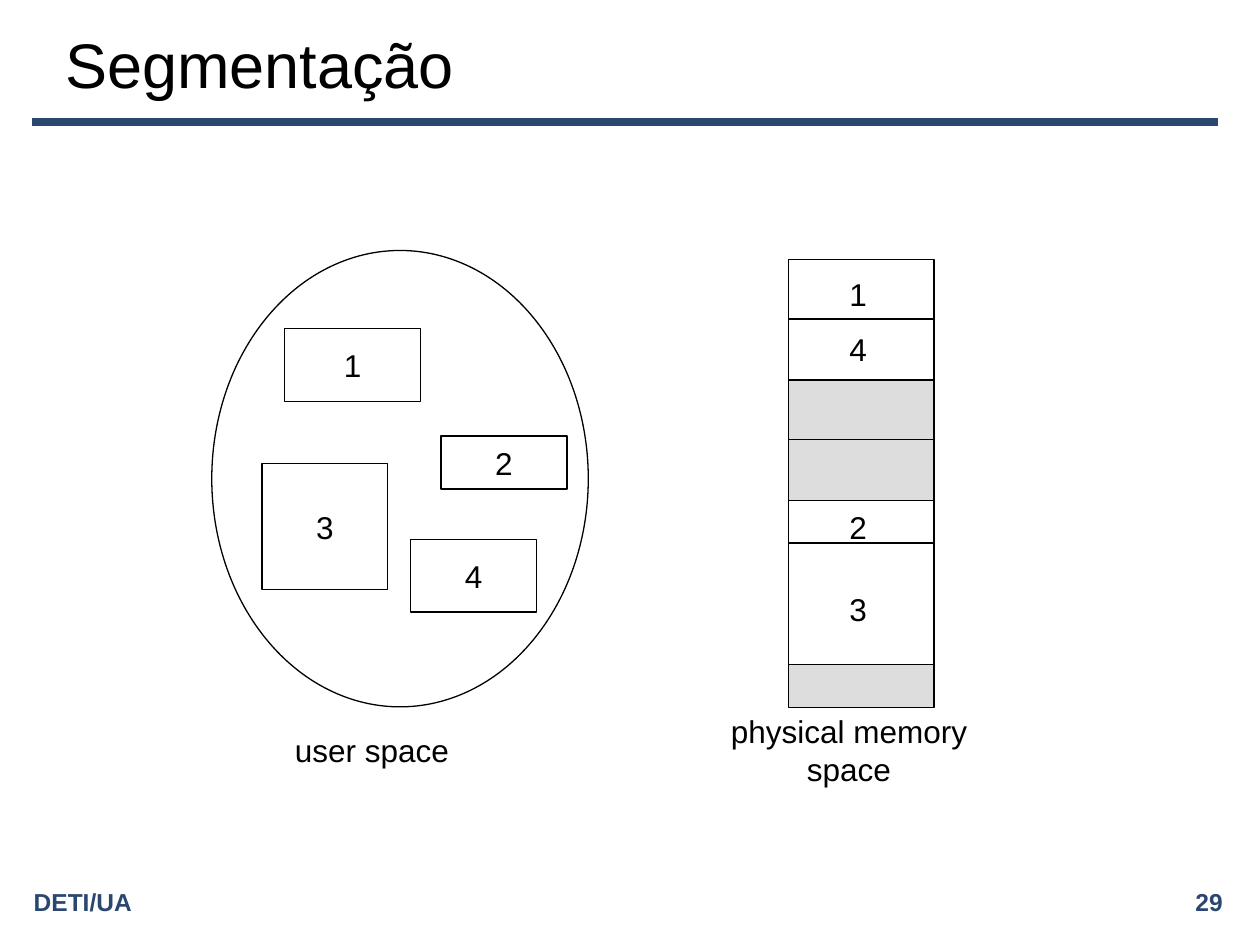
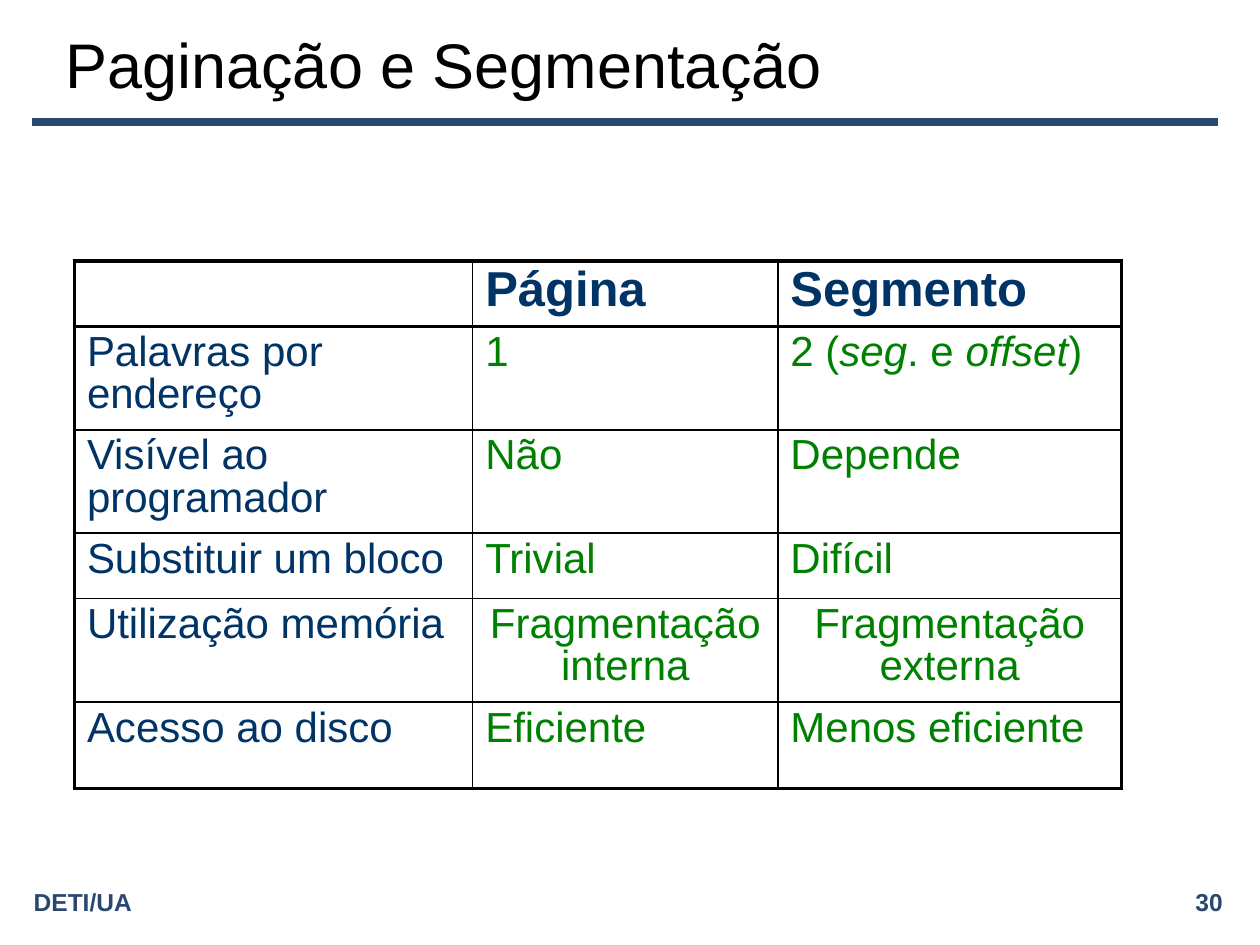
import pptx
import pptx.dml.color
import pptx.enum.shapes
import pptx.enum.text
import pptx.oxml
import pptx.oxml.ns
import pptx.util

Cm, Pt = pptx.util.Cm, pptx.util.Pt
SHAPE = pptx.enum.shapes.MSO_SHAPE
ALIGN = pptx.enum.text.PP_ALIGN

# Shared look
FONT = "Arial"
BLACK, WHITE, GREY = "000000", "FFFFFF", "DDDDDD"
BAND_BLUE, LABEL_BLUE, VALUE_GREEN = "2A476F", "003366", "008000"
FOOTER = "DETI/UA"
FIRST_NUMBER = 29
THIN, THICK = 0.96, 2.21

# Segmentation diagram, in cm
SEGMENTATION_TITLE = "Segmentação"
USER_SPACE = (4.27, 5.05, 7.59, 9.2)
SEGMENTS = [
    ("1", (5.74, 6.63, 2.74, 1.47)),
    ("3", (5.28, 9.35, 2.54, 2.54)),
    ("2", (8.89, 8.79, 2.54, 1.07)),
    ("4", (8.28, 10.87, 2.54, 1.47)),
]
MEMORY_LEFT, MEMORY_TOP, MEMORY_WIDTH = 15.9, 5.23, 2.93
# height, fill, distance from the top of the block to its divider
MEMORY_BLOCKS = [
    (2.43, WHITE, 1.2),
    (2.43, GREY, 1.2),
    (3.31, WHITE, 0.86),
    (0.86, GREY, None),
]
MEMORY_LABELS = [("1", 5.41), ("4", 6.53), ("2", 10.11), ("3", 11.76)]
CAPTIONS = [
    ("user space ", (5.61, 14.6, 3.78, 1.02), False),
    ("physical memory space", (13.56, 14.6, 7.11, 1.02), True),
]

# Comparison table; asterisks enclose italics
COMPARISON_TITLE = "Paginação e Segmentação"
COMPARISON = [
    ("", "Página", "Segmento"),
    ("Palavras por endereço", "1", "2 (*seg*. e *offset*)"),
    ("Visível ao programador", "Não", "Depende"),
    ("Substituir um bloco", "Trivial", "Difícil"),
    ("Utilização memória", "Fragmentação interna", "Fragmentação externa"),
    ("Acesso ao disco", "Eficiente", "Menos eficiente"),
]
CENTRED_ROW = 4
COLUMN_WIDTHS = [8.03, 6.15, 6.93]
ROW_HEIGHTS = [1.32, 2.08, 2.08, 1.32, 2.08, 1.75]
TABLE_LEFT, TABLE_TOP = 1.5, 5.26


def colour(code):
    return pptx.dml.color.RGBColor.from_string(code)


def lengths(place):
    return [Cm(value) for value in place]


def write(frame, text, size=18, code=BLACK, bold=False, align=ALIGN.LEFT,
          before=None, after=None, spacing=None):
    para = frame.paragraphs[0]
    para.alignment = align
    para.line_spacing = spacing
    para.space_before = None if before is None else Pt(before)
    para.space_after = None if after is None else Pt(after)
    for index, part in enumerate(text.split("*")):
        span = para.add_run()
        span.text = part
        span.font.name = FONT
        span.font.size = Pt(size)
        span.font.bold = bold
        span.font.italic = index % 2 == 1
        span.font.color.rgb = colour(code)


def add_text(page, place, text, wrap=True, **look):
    box = page.shapes.add_textbox(*lengths(place))
    box.text_frame.word_wrap = wrap
    box.text_frame.vertical_anchor = pptx.enum.text.MSO_ANCHOR.MIDDLE
    write(box.text_frame, text, **look)


def add_outline(page, kind, place, fill=WHITE, text=""):
    shape = page.shapes.add_shape(kind, *lengths(place))
    shape.shadow.inherit = False
    shape.fill.solid()
    shape.fill.fore_color.rgb = colour(fill)
    shape.line.color.rgb = colour(BLACK)
    shape.line.width = Pt(0.75)
    if text:
        shape.text_frame.word_wrap = False
        write(shape.text_frame, text, align=ALIGN.CENTER)


def add_rule(page, left, right, top, code=BLACK, width=0.75):
    rule = page.shapes.add_connector(
        pptx.enum.shapes.MSO_CONNECTOR.STRAIGHT,
        *lengths((left, top, right, top)))
    rule.line.color.rgb = colour(code)
    rule.line.width = Pt(width)
    properties = rule._element.spPr
    properties.append(pptx.oxml.parse_xml(
        f"<a:effectLst {pptx.oxml.ns.nsdecls('a')}/>"))


def add_page(deck, title):
    page = deck.slides.add_slide(deck.slide_layouts[6])
    number = FIRST_NUMBER + len(deck.slides) - 1
    footer_look = dict(size=14, code=BAND_BLUE, bold=True)
    add_rule(page, 0.64, 24.56, 2.46, BAND_BLUE, 4.5)
    add_text(page, (15.04, 17.78, 9.86, 0.79), str(number),
             align=ALIGN.RIGHT, **footer_look)
    add_text(page, (0.43, 17.78, 9.86, 0.79), FOOTER, **footer_look)
    add_text(page, (1.07, 0.43, 22.23, 1.7), title, size=36)
    return page


def set_borders(cell, widths):
    properties = cell._tc.get_or_add_tcPr()
    for index, (side, width) in enumerate(widths.items()):
        properties.insert(index, pptx.oxml.parse_xml(
            f"<a:ln{side} {pptx.oxml.ns.nsdecls('a')} w='{Pt(width)}'>"
            f"<a:solidFill><a:srgbClr val='{BLACK}'/></a:solidFill>"
            f"</a:ln{side}>"))


def draw_segmentation(deck):
    page = add_page(deck, SEGMENTATION_TITLE)
    label_look = dict(align=ALIGN.CENTER, before=9)

    # User space
    add_outline(page, SHAPE.OVAL, USER_SPACE)
    for name, place in SEGMENTS:
        add_outline(page, SHAPE.RECTANGLE, place, text=name)

    # Physical memory
    top = MEMORY_TOP
    for height, fill, divider in MEMORY_BLOCKS:
        add_outline(page, SHAPE.RECTANGLE,
                    (MEMORY_LEFT, top, MEMORY_WIDTH, height), fill)
        if divider:
            add_rule(page, MEMORY_LEFT, MEMORY_LEFT + MEMORY_WIDTH,
                     top + divider)
        top += height
    for name, label_top in MEMORY_LABELS:
        add_text(page, (16.87, label_top, 0.86, 1.02), name, wrap=False,
                 **label_look)

    for caption, place, wrap in CAPTIONS:
        add_text(page, place, caption, wrap=wrap, **label_look)


def draw_comparison(deck):
    page = add_page(deck, COMPARISON_TITLE)
    place = (TABLE_LEFT, TABLE_TOP, sum(COLUMN_WIDTHS), sum(ROW_HEIGHTS))
    table = page.shapes.add_table(
        len(COMPARISON), len(COLUMN_WIDTHS), *lengths(place)).table
    table.first_row = table.horz_banding = False
    for column, width in zip(table.columns, COLUMN_WIDTHS):
        column.width = Cm(width)
    for row, height in zip(table.rows, ROW_HEIGHTS):
        row.height = Cm(height)

    last_row, last_column = len(COMPARISON) - 1, len(COLUMN_WIDTHS) - 1
    for r, texts in enumerate(COMPARISON):
        for c, text in enumerate(texts):
            cell = table.cell(r, c)
            cell.fill.background()
            # Thick frame and header rule, thin lines elsewhere
            set_borders(cell, {
                "L": THICK if c == 0 else THIN,
                "R": THICK if c == last_column else THIN,
                "T": THICK if r <= 1 else THIN,
                "B": THICK if r in (0, last_row) else THIN,
            })
            if not text:
                continue
            header = r == 0
            centred = r == CENTRED_ROW and c > 0
            write(cell.text_frame, text,
                  size=28 if header else 24, bold=header,
                  code=LABEL_BLUE if header or c == 0 else VALUE_GREEN,
                  align=ALIGN.CENTER if centred else ALIGN.LEFT,
                  before=2.8 if header else 2.4,
                  after=7 if header else 6, spacing=0.9)


def main():
    deck = pptx.Presentation()
    deck.slide_width, deck.slide_height = Cm(25.4), Cm(19.05)
    draw_segmentation(deck)
    draw_comparison(deck)
    deck.save("out.pptx")


if __name__ == "__main__":
    main()
